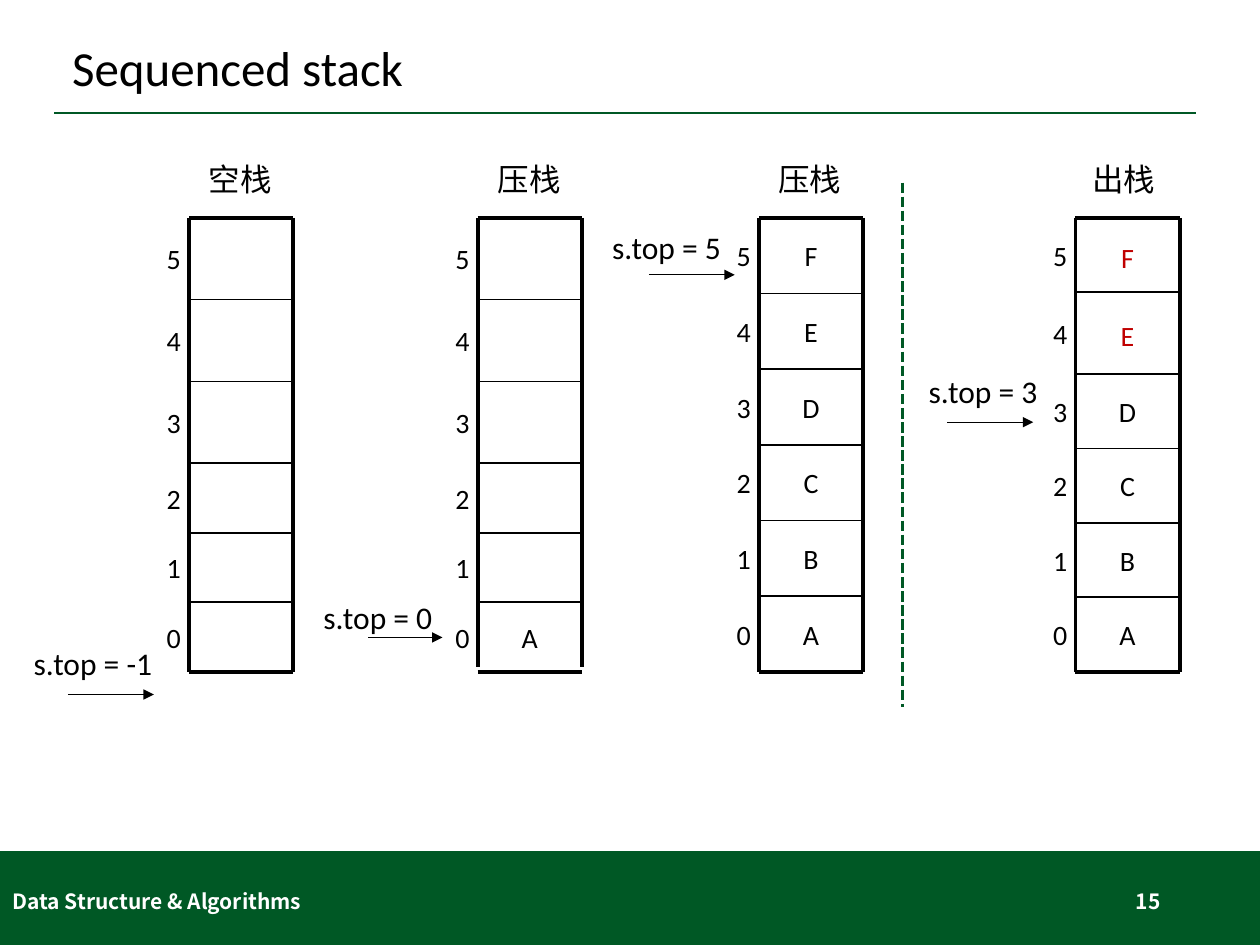
import dataclasses
import lxml.etree
import pptx
import pptx.dml.color
import pptx.enum.dml
import pptx.enum.shapes
import pptx.enum.text
import pptx.oxml.ns
import pptx.util
from pptx.util import Cm


@dataclasses.dataclass(frozen=True)
class Theme:
    green: str = "005825"
    ink: str = "000000"
    red: str = "C00000"
    white: str = "FFFFFF"
    font: str = "Calibri"
    footer_font: str = "Noto Sans CJK SC"
    title_size: int = 28
    label_size: int = 18
    cell_size: int = 16
    footer_size: int = 12
    wall: float = 2.25
    rule: float = 1
    divider: float = 2
    arrow: float = 0.75


theme = Theme()
align = pptx.enum.text.PP_ALIGN
anchor = pptx.enum.text.MSO_ANCHOR
color = pptx.dml.color.RGBColor.from_string
qn = pptx.oxml.ns.qn


def add_text(shapes, text, left, top, width, height, size, ink=theme.ink,
             alignment=align.LEFT, vertical=anchor.MIDDLE, font=theme.font, bold=False):
    box = shapes.add_textbox(Cm(left), Cm(top), Cm(width), Cm(height))
    frame = box.text_frame
    frame.word_wrap = True
    frame.vertical_anchor = vertical
    paragraph = frame.paragraphs[0]
    paragraph.text = text
    paragraph.alignment = alignment
    paragraph.font.name = font
    paragraph.font.size = pptx.util.Pt(size)
    paragraph.font.bold = bold
    paragraph.font.color.rgb = color(ink)
    return box


def add_line(shapes, x1, y1, x2, y2, width, ink=theme.ink, arrow=False):
    line = shapes.add_connector(pptx.enum.shapes.MSO_CONNECTOR.STRAIGHT,
                                Cm(x1), Cm(y1), Cm(x2), Cm(y2))
    line.line.color.rgb = color(ink)
    line.line.width = pptx.util.Pt(width)
    properties = line.element.spPr
    if arrow:
        lxml.etree.SubElement(properties.find(qn("a:ln")), qn("a:tailEnd"), type="triangle")
    lxml.etree.SubElement(properties, qn("a:effectLst"))
    return line


presentation = pptx.Presentation()
presentation.slide_width = Cm(25.4)
presentation.slide_height = Cm(19.05)
slide = presentation.slides.add_slide(presentation.slide_layouts[5])

band = slide.shapes.add_shape(pptx.enum.shapes.MSO_SHAPE.RECTANGLE,
                              Cm(0), Cm(17.16), Cm(25.4), Cm(1.89))
band.shadow.inherit = False
band.fill.solid()
band.fill.fore_color.rgb = color(theme.green)
band.line.fill.background()
add_line(slide.shapes, 1.09, 2.28, 24.1, 2.28, theme.rule, theme.green)

title = slide.shapes.title
title.left, title.top, title.width, title.height = Cm(1.2), Cm(0.58), Cm(23), Cm(1.68)
title.text_frame.text = "Sequenced stack"
title.text_frame.auto_size = pptx.enum.text.MSO_AUTO_SIZE.NONE
title.text_frame.vertical_anchor = anchor.MIDDLE
paragraph = title.text_frame.paragraphs[0]
paragraph.alignment = align.LEFT
paragraph.line_spacing = 0.9
paragraph.font.name = theme.font
paragraph.font.size = pptx.util.Pt(theme.title_size)
paragraph.font.color.rgb = color(theme.ink)

for text, left, width, alignment in [
    ("Data Structure & Algorithms", 0, 8.58, align.LEFT),
    ("15", 17.93, 5.72, align.RIGHT),
]:
    add_text(slide.shapes, text, left, 17.65, width, 1.02, theme.footer_size,
             theme.white, alignment, font=theme.footer_font, bold=True)

stack_top, stack_height = 4.39, 9.15
cell_width, index_width = 2.1, 0.7
uneven_rows = [1.65] * 3 + [1.4] * 3
even_rows = [stack_height / 6] * 6
popped_rows = [1.5, 1.65] + [1.5] * 4

stacks = [
    dict(heading="空栈", heading_left=3.96, left=3.81, rows=uneven_rows, letters="", popped="",
         wall_height=9.15, label="s.top = -1", label_at=(0.43, 12.85, 3.07),
         arrow=(1.37, 3.1, 14)),
    dict(heading="压栈", heading_left=9.78, left=9.63, rows=uneven_rows, letters="A", popped="",
         wall_height=9.05, label="s.top = 0", label_at=(6.27, 11.94, 3.07),
         arrow=(7.42, 8.92, 12.85)),
    dict(heading="压栈", heading_left=15.44, left=15.3, rows=even_rows, letters="ABCDEF", popped="",
         wall_height=9.15, label="s.top = 5", label_at=(12.09, 4.47, 3.07),
         arrow=(13.08, 14.81, 5.54)),
    dict(heading="出栈", heading_left=21.77, left=21.68, rows=popped_rows, letters="ABCDEF", popped="EF",
         wall_height=9.15, label="s.top = 3", label_at=(18.47, 7.37, 2.9),
         arrow=(19.1, 20.83, 8.51)),
]

for stack in stacks:
    shapes = slide.shapes.add_group_shape().shapes
    left, right = stack["left"], stack["left"] + cell_width
    row_top = stack_top
    for row, height in enumerate(stack["rows"]):
        index = 5 - row
        add_text(shapes, str(index), left - index_width, row_top, index_width, height,
                 theme.cell_size, alignment=align.CENTER)
        if index < len(stack["letters"]):
            letter = stack["letters"][index]
            is_popped = letter in stack["popped"]
            add_text(shapes, letter, left, row_top + 0.05 * is_popped, cell_width, height,
                     theme.cell_size, theme.red if is_popped else theme.ink, align.CENTER)
        add_line(shapes, left, row_top, right, row_top, theme.rule if row else theme.wall)
        row_top += height
    add_line(shapes, left, row_top, right, row_top, theme.wall)
    for wall in (left, right):
        add_line(shapes, wall, stack_top, wall, stack_top + stack["wall_height"], theme.wall)

    start, end, arrow_y = stack["arrow"]
    add_line(shapes, start, arrow_y, end, arrow_y, theme.arrow, arrow=True)
    label_left, label_top, label_width = stack["label_at"]
    add_text(shapes, stack["label"], label_left, label_top, label_width, 1.02,
             theme.label_size, vertical=anchor.TOP)
    heading = add_text(shapes, stack["heading"], stack["heading_left"], 3.1, 1.8, 1.02,
                       theme.label_size, vertical=anchor.TOP)
    heading.text_frame.word_wrap = False

divider = add_line(slide.shapes, 18.19, 3.68, 18.19, 14.25, theme.divider, theme.green)
divider.line.dash_style = pptx.enum.dml.MSO_LINE.SQUARE_DOT

presentation.save("out.pptx")
